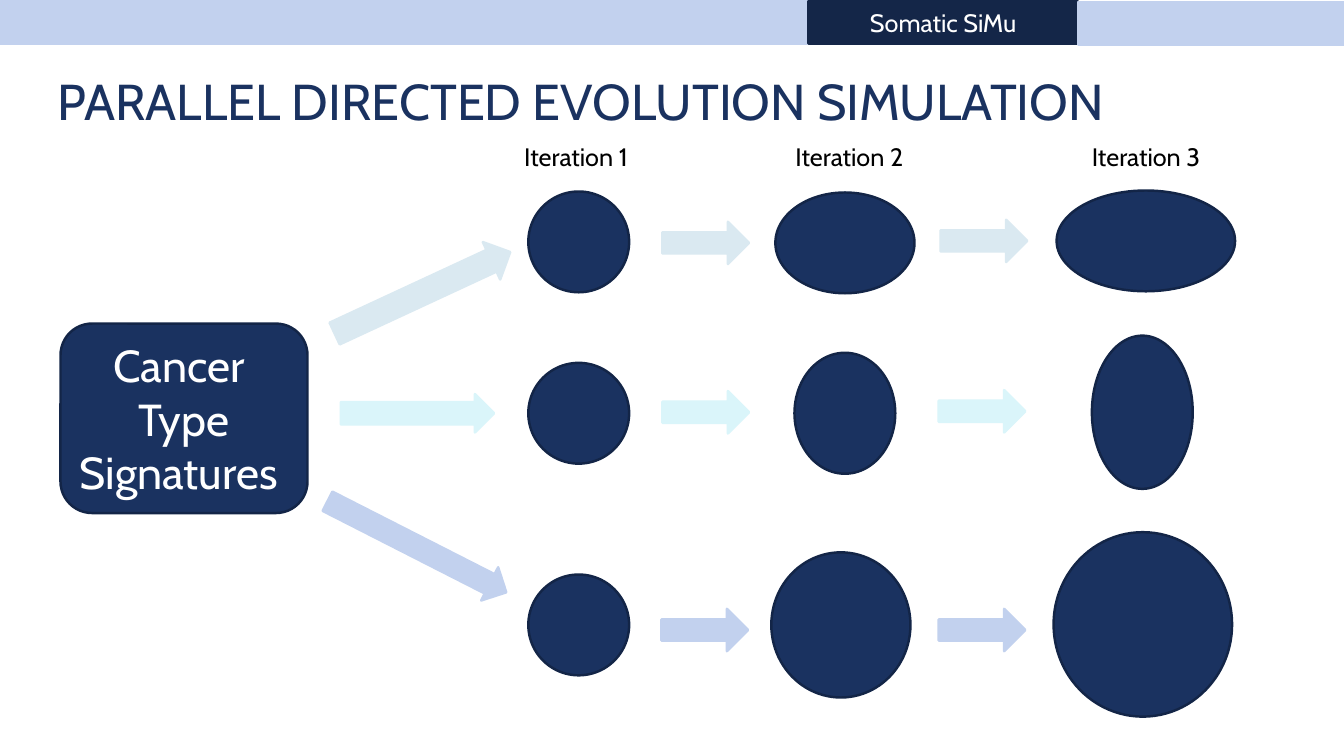
from pptx import Presentation
from pptx.dml.color import RGBColor
from pptx.enum.shapes import MSO_SHAPE
from pptx.enum.text import MSO_ANCHOR, MSO_AUTO_SIZE, PP_ALIGN
from pptx.util import Inches, Pt

NAVY = RGBColor(0x1A, 0x32, 0x60)
OUTLINE = RGBColor(0x13, 0x25, 0x47)
TAB = RGBColor(0x14, 0x26, 0x48)
PERIWINKLE = RGBColor(0xC2, 0xD1, 0xEE)
MIST = RGBColor(0xDA, 0xE9, 0xF1)
AQUA = RGBColor(0xDA, 0xF5, 0xFA)
WHITE = RGBColor(0xFF, 0xFF, 0xFF)
BLACK = RGBColor(0, 0, 0)


class SlideBuilder:
    """Draws the elements of one slide in a shared style."""

    font = "Cabin"
    line_width = Pt(1.75)

    def __init__(self, prs):
        self.s = prs.slides.add_slide(prs.slide_layouts[5])

    def set_text(self, sp, lines, size, color, align, **frame):
        tf = sp.text_frame
        for name, value in frame.items():
            setattr(tf, name, value)
        for i, line in enumerate(lines):
            p = tf.add_paragraph() if i else tf.paragraphs[0]
            p.alignment = align
            r = p.add_run()
            r.text = line
            for name, value in {"name": self.font, "size": Pt(size), "bold": False}.items():
                setattr(r.font, name, value)
            r.font.color.rgb = color

    def title(self, text, x, y, w, h):
        sp = self.s.shapes.title
        place = {"left": x, "top": y, "width": w, "height": h}
        for name, value in place.items():
            setattr(sp, name, Inches(value))
        self.set_text(sp, [text], 36, NAVY, PP_ALIGN.LEFT, word_wrap=True,
                      auto_size=MSO_AUTO_SIZE.NONE, vertical_anchor=MSO_ANCHOR.BOTTOM)

    def shape(self, kind, x, y, w, h, fill, line=None):
        sp = self.s.shapes.add_shape(kind, Inches(x), Inches(y), Inches(w), Inches(h))
        sp.shadow.inherit = False
        sp.fill.solid()
        sp.fill.fore_color.rgb = fill
        sp.line.color.rgb = line or fill
        sp.line.width = self.line_width
        return sp

    def box(self, kind, x, y, w, h, fill, line, lines, size):
        sp = self.shape(kind, x, y, w, h, fill, line)
        self.set_text(sp, lines, size, WHITE, PP_ALIGN.CENTER, word_wrap=True,
                      vertical_anchor=MSO_ANCHOR.MIDDLE)

    def cell(self, x, y, w, h):
        self.shape(MSO_SHAPE.OVAL, x, y, w, h, NAVY, OUTLINE)

    def arrow(self, x, y, w, h, color, rotation=0, shaft=0.5):
        sp = self.shape(MSO_SHAPE.RIGHT_ARROW, x, y, w, h, color)
        sp.adjustments[0] = shaft
        sp.rotation = rotation

    def label(self, text, x, y, w, h):
        sp = self.s.shapes.add_textbox(Inches(x), Inches(y), Inches(w), Inches(h))
        self.set_text(sp, [text], 18, BLACK, PP_ALIGN.LEFT, word_wrap=False,
                      auto_size=MSO_AUTO_SIZE.SHAPE_TO_FIT_TEXT)


LINEAGES = [
    {"color": MIST, "source": (3.23, 2.7, 1.92, 0.41, 335.1),
     "cells": [(5.24, 1.9, 1, 1), (7.69, 1.91, 1.38, 1), (10.48, 1.89, 1.77, 1)],
     "steps": [(6.57, 2.2), (9.33, 2.18)]},
    {"color": AQUA, "source": (3.38, 3.91, 1.52, 0.38, 0),
     "cells": [(5.24, 3.6, 1, 1), (7.88, 3.5, 1, 1.2), (10.83, 3.33, 1, 1.52)],
     "steps": [(6.57, 3.88), (9.31, 3.87)]},
    {"color": PERIWINKLE, "source": (3.14, 5.24, 1.99, 0.37, 27),
     "cells": [(5.24, 5.7, 1, 1), (7.65, 5.48, 1.38, 1.44), (10.45, 5.28, 1.77, 1.83)],
     "steps": [(6.56, 6.04), (9.31, 6.04)]},
]


def main():
    prs = Presentation()
    prs.slide_width, prs.slide_height = Inches(13.33), Inches(7.5)
    b = SlideBuilder(prs)

    for i in range(3):
        b.shape(MSO_SHAPE.RECTANGLE, i * 2.67, 0.01, 2.67, 0.42, PERIWINKLE)
    b.box(MSO_SHAPE.RECTANGLE, 8.02, 0.01, 2.67, 0.42, TAB, TAB, ["Somatic SiMu"], 18)
    b.shape(MSO_SHAPE.RECTANGLE, 10.69, 0.02, 2.64, 0.42, PERIWINKLE)

    b.title("PARALLEL DIRECTED EVOLUTION SIMULATION", 0.47, 0.65, 12.27, 0.7)
    b.box(MSO_SHAPE.ROUNDED_RECTANGLE, 0.6, 3.21, 2.45, 1.88, NAVY, OUTLINE,
          ["Cancer ", "Type Signatures "], 32)

    for lineage in LINEAGES:
        color = lineage["color"]
        x, y, w, h, rotation = lineage["source"]
        b.arrow(x, y, w, h, color, rotation, shaft=0.58)
        for place in lineage["cells"]:
            b.cell(*place)
        for x, y in lineage["steps"]:
            b.arrow(x, y, 0.86, 0.42, color)

    for number, x in enumerate((5.1, 7.79, 10.73), start=1):
        b.label(f"Iteration {number}", x, 1.35, 1.28, 0.4)

    prs.save("out.pptx")


if __name__ == "__main__":
    main()
